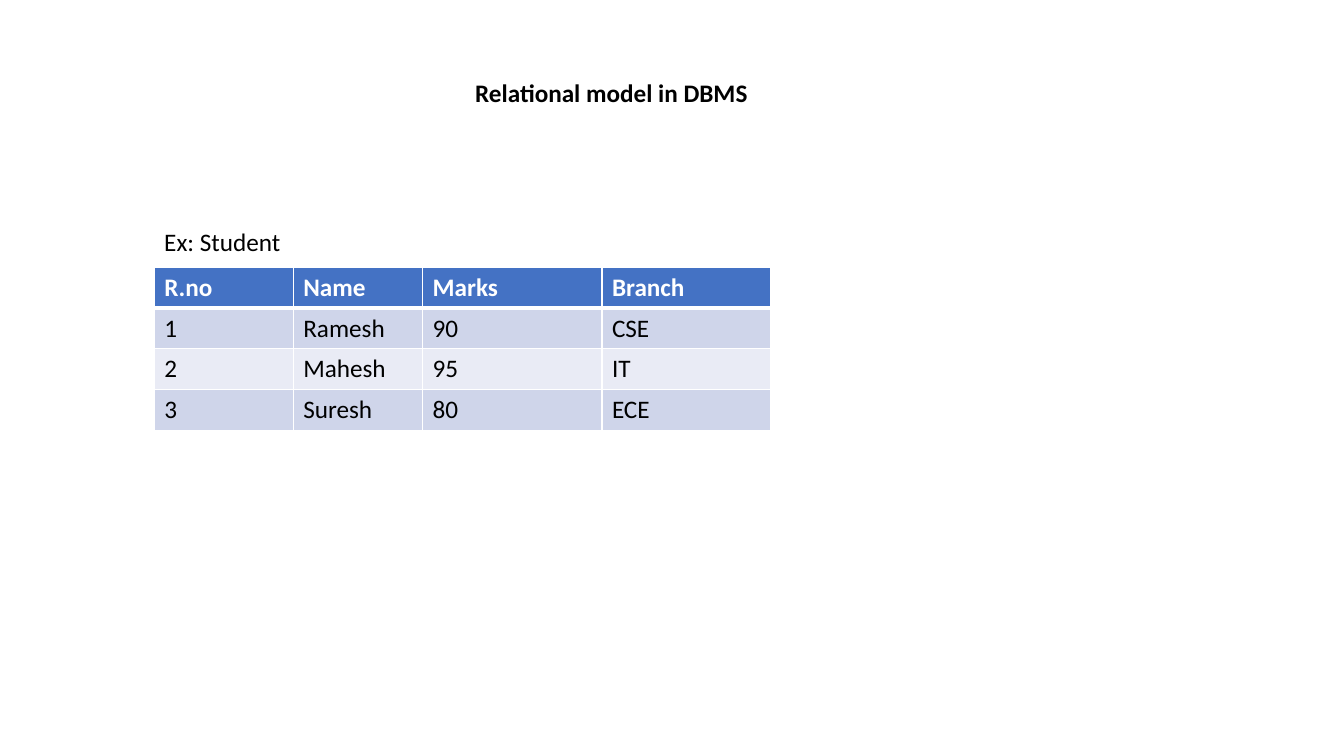
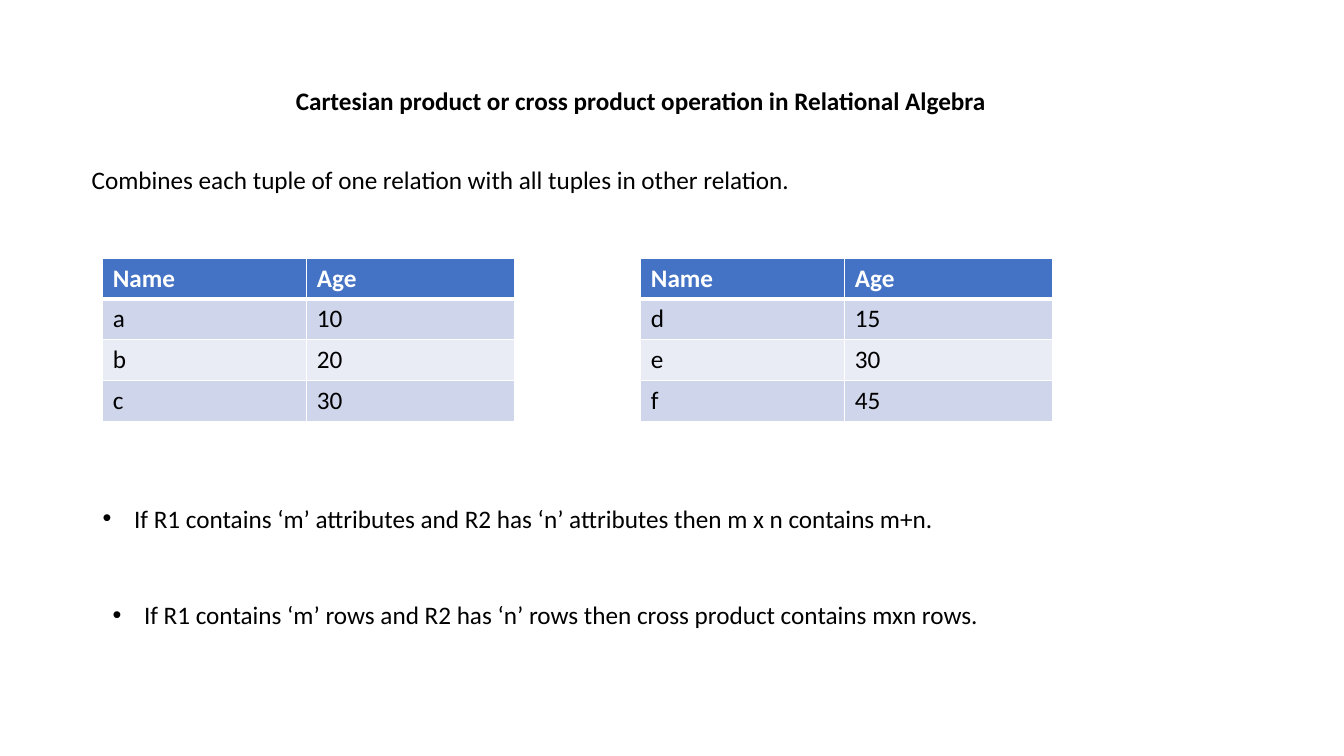
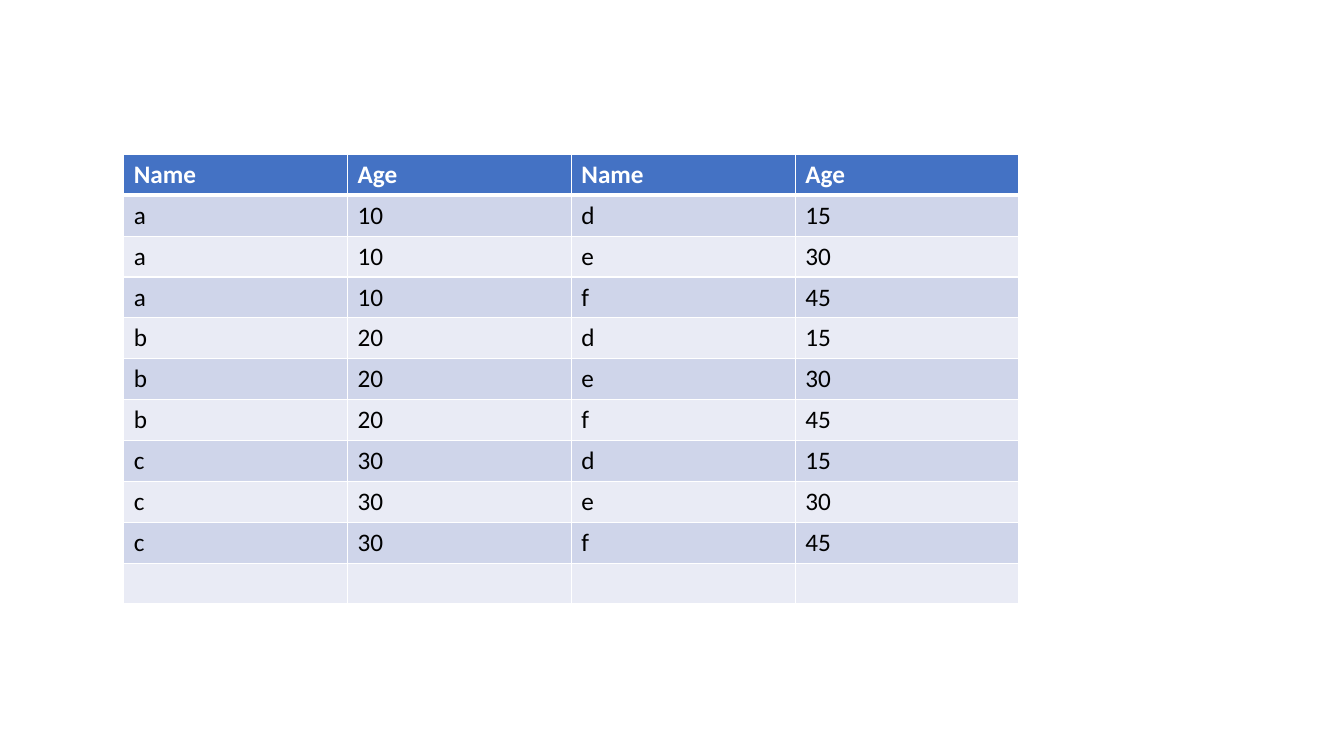
from itertools import product

from lxml import etree
from pptx import Presentation
from pptx.dml.color import RGBColor
from pptx.enum.text import PP_ALIGN
from pptx.oxml.ns import qn
from pptx.util import Cm, Pt

LEFT = PP_ALIGN.LEFT
CENTER = PP_ALIGN.CENTER
BLANK_LAYOUT = 6


def color(value):
    return RGBColor.from_string(value)


class Deck:
    FONT = "Calibri"
    SIZE = 18
    INK = "000000"
    WHITE = "FFFFFF"
    HEADER = "4472C4"
    BANDS = ("CFD5EA", "E9EBF5")
    TEXT_HEIGHT = 1.02
    ROW_HEIGHT = 1.03
    INDENT = 0.79
    RULE = 1
    HEADER_RULE = 3

    def __init__(self):
        self.deck = Presentation()
        self.deck.slide_width = Cm(33.87)
        self.deck.slide_height = Cm(19.05)
        self.page = None

    def new_page(self):
        layout = self.deck.slide_layouts[BLANK_LAYOUT]
        self.page = self.deck.slides.add_slide(layout)

    def style(self, para, ink, bold):
        for span in para.runs:
            span.font.name = self.FONT
            span.font.size = Pt(self.SIZE)
            span.font.bold = bold
            span.font.color.rgb = color(ink)

    def text(self, left, top, width, words, bold=False, align=LEFT):
        box = self.page.shapes.add_textbox(
            Cm(left), Cm(top), Cm(width), Cm(self.TEXT_HEIGHT))
        box.text_frame.word_wrap = True
        box.text_frame.text = words
        para = box.text_frame.paragraphs[0]
        para.alignment = align
        self.style(para, self.INK, bold)
        return para

    def title(self, left, top, width, words):
        self.text(left, top, width, words, bold=True, align=CENTER)

    def bullet(self, left, top, width, words):
        properties = self.text(left, top, width, words)._p.get_or_add_pPr()
        properties.set("marL", str(Cm(self.INDENT)))
        properties.set("indent", str(-Cm(self.INDENT)))
        etree.SubElement(properties, qn("a:buFont")).set("typeface", "Arial")
        etree.SubElement(properties, qn("a:buChar")).set("char", "•")

    def borders(self, cell, top, bottom):
        properties = cell._tc.get_or_add_tcPr()
        sides = {"L": self.RULE, "R": self.RULE, "T": top, "B": bottom}
        for side, points in sides.items():
            line = etree.SubElement(properties, qn(f"a:ln{side}"))
            line.set("w", str(Pt(points)))
            fill = etree.SubElement(line, qn("a:solidFill"))
            etree.SubElement(fill, qn("a:srgbClr")).set("val", self.WHITE)

    def table(self, left, top, widths, rows):
        frame = self.page.shapes.add_table(
            len(rows), len(widths), Cm(left), Cm(top),
            Cm(sum(widths)), Cm(self.ROW_HEIGHT * len(rows)))
        grid = frame.table
        for column, width in zip(grid.columns, widths):
            column.width = Cm(width)
        for index, values in enumerate(rows):
            grid.rows[index].height = Cm(self.ROW_HEIGHT)
            header = index == 0
            fill = self.HEADER if header else self.BANDS[(index - 1) % 2]
            above = self.HEADER_RULE if index == 1 else self.RULE
            below = self.HEADER_RULE if header else self.RULE
            for cell, value in zip(grid.rows[index].cells, values):
                self.borders(cell, above, below)
                cell.fill.solid()
                cell.fill.fore_color.rgb = color(fill)
                cell.text_frame.text = value
                self.style(cell.text_frame.paragraphs[0],
                           self.WHITE if header else self.INK, header)

    def save(self):
        self.deck.save("out.pptx")


PERSON = ("Name", "Age")
FIRST = [("a", "10"), ("b", "20"), ("c", "30")]
SECOND = [("d", "15"), ("e", "30"), ("f", "45")]
STUDENTS = [
    ("R.no", "Name", "Marks", "Branch"),
    ("1", "Ramesh", "90", "CSE"),
    ("2", "Mahesh", "95", "IT"),
    ("3", "Suresh", "80", "ECE"),
]


def relational_model(deck):
    deck.new_page()
    deck.title(11.66, 1.83, 7.5, "Relational model in DBMS")
    deck.table(3.89, 6.73, (3.5, 3.26, 4.52, 4.24), STUDENTS)
    deck.text(3.89, 5.59, 3.6, "Ex: Student")


def cross_product(deck):
    deck.new_page()
    deck.title(7.14, 2.03, 18.03,
               "Cartesian product or cross product operation in Relational Algebra")
    for left, people in ((2.59, FIRST), (16.15, SECOND)):
        deck.table(left, 6.5, (5.14, 5.24), [PERSON, *people])
    deck.text(2.06, 4.01, 18.3,
              "Combines each tuple of one relation with all tuples in other relation.")
    deck.bullet(2.34, 12.55, 21.9,
                "If R1 contains ‘m’ attributes and R2 has ‘n’ attributes then m x n contains m+n.")
    deck.bullet(2.59, 14.99, 23.44,
                "If R1 contains ‘m’ rows and R2 has ‘n’ rows then cross product contains mxn rows.")


def combined_rows(deck):
    deck.new_page()
    pairs = [one + other for one, other in product(FIRST, SECOND)]
    deck.table(3.12, 3.89, [5.64] * 4, [PERSON * 2, *pairs, ("",) * 4])


def main():
    deck = Deck()
    relational_model(deck)
    cross_product(deck)
    combined_rows(deck)
    deck.save()


if __name__ == "__main__":
    main()
